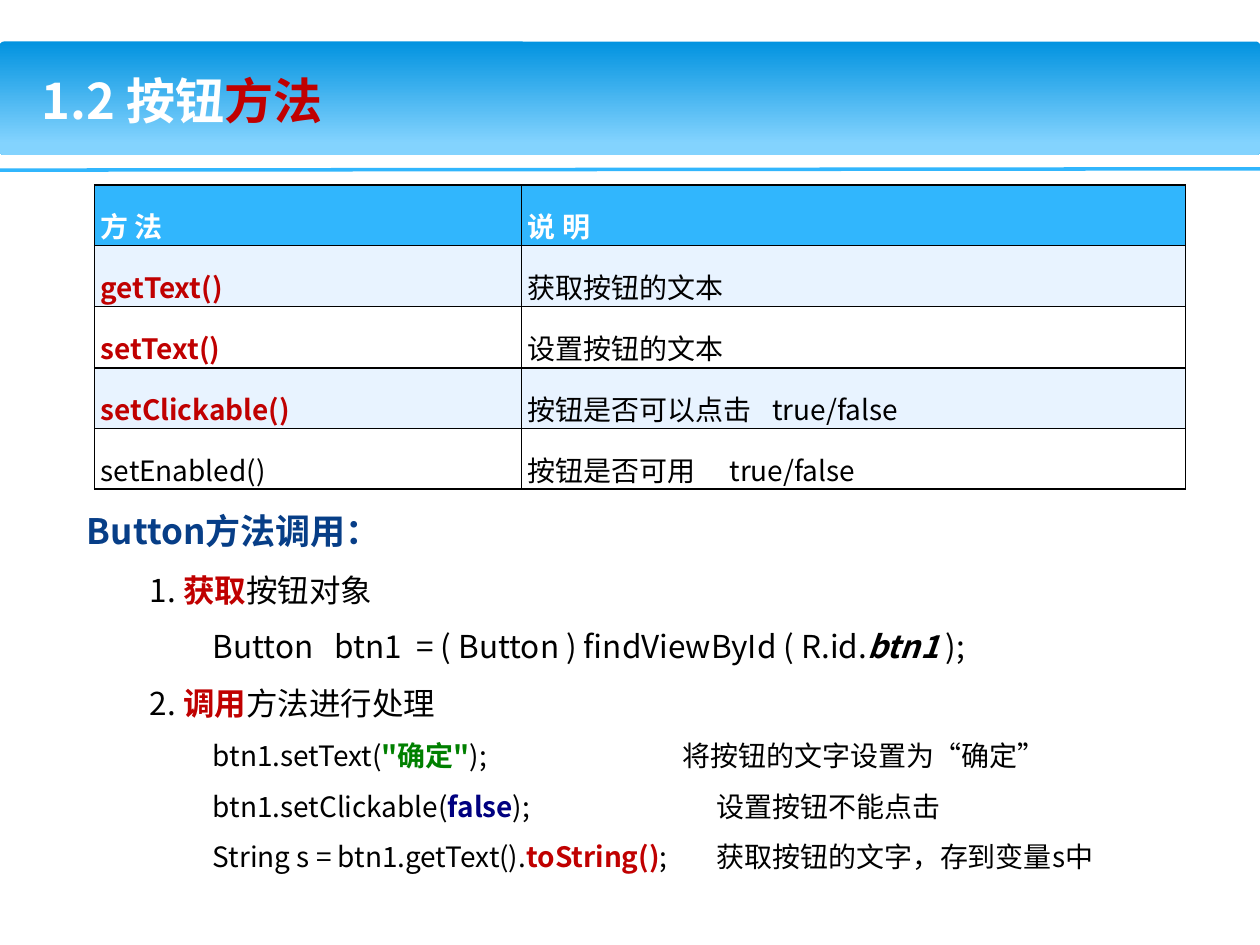
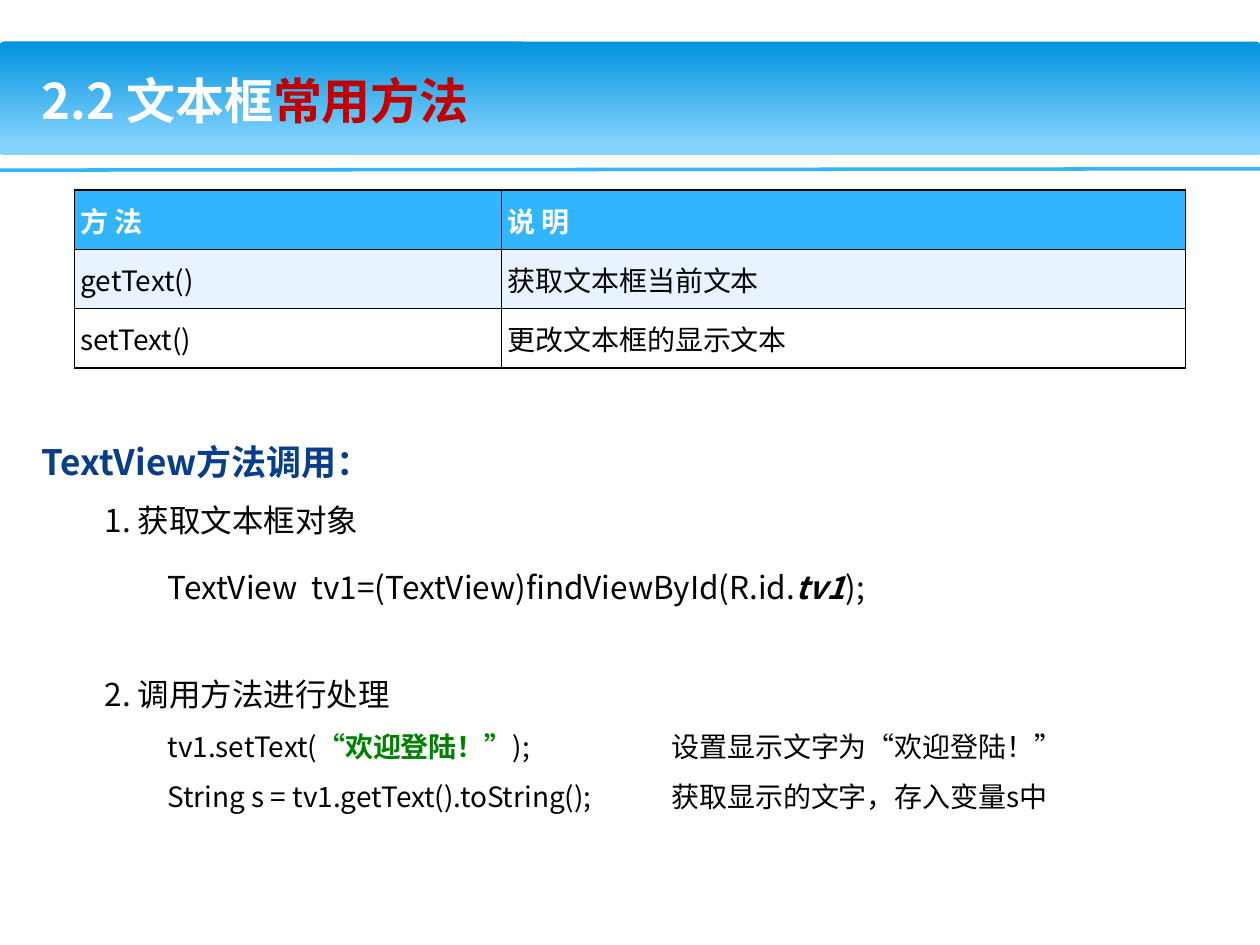
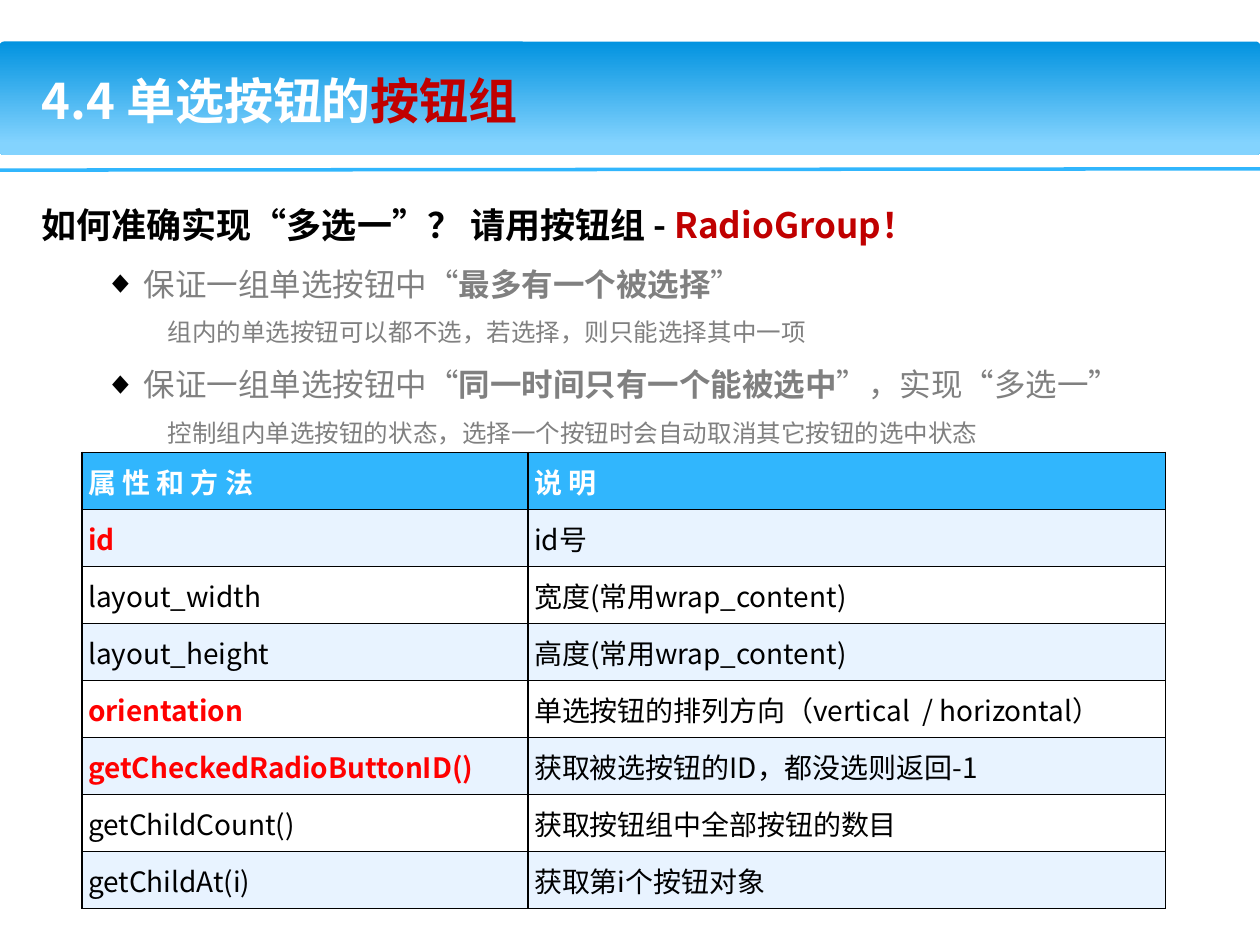
import dataclasses

import lxml.etree
import pptx
import pptx.dml.color
import pptx.enum.dml
import pptx.enum.shapes
import pptx.enum.text
import pptx.oxml.ns
import pptx.util

Inches = pptx.util.Inches
Pt = pptx.util.Pt
qn = pptx.oxml.ns.qn


@dataclasses.dataclass(frozen=True)
class Theme:
    font: str = "Noto Sans CJK SC"
    title_size: int = 28
    heading_size: int = 20
    step_size: int = 18
    code_size: int = 16
    note_size: int = 14
    body_spacing: float = 1.5
    white: str = "FFFFFF"
    black: str = "000000"
    grey: str = "808080"
    navy: str = "073E87"
    red: str = "C00000"
    alert: str = "FF0000"
    string: str = "008000"
    keyword: str = "000080"
    accent: str = "31B6FD"
    stripe: str = "E8F3FF"
    band_top: str = "0293E0"
    band_bottom: str = "83D3FE"


THEME = Theme()

# Named looks for emphasised spans: colour, bold, italic
LOOKS = {
    "strong": (None, True, None),
    "identifier": (None, True, True),
    "red": (THEME.red, True, None),
    "alert": (THEME.alert, True, None),
    "string": (THEME.string, True, None),
    "keyword": (THEME.keyword, True, None),
}


@dataclasses.dataclass(frozen=True)
class Box:
    left: float
    top: float
    width: float
    height: float

    def lengths(self):
        return [Inches(side) for side in dataclasses.astuple(self)]


@dataclasses.dataclass(frozen=True)
class Line:
    """One paragraph; spans are plain strings or (text, look) pairs."""
    spans: tuple
    size: int = THEME.code_size
    colour: str = THEME.black
    bold: bool = False
    level: int = 0
    margin: float = 0
    indent: float = 0
    before: float = 0
    spacing: float = 1
    bullet: str = ""
    tab_step: float = 1


def rgb(value):
    return pptx.dml.color.RGBColor.from_string(value)


def add_xml(parent, tag, **attributes):
    return lxml.etree.SubElement(parent, qn(tag), attributes)


# Text

def write_line(para, line):
    para.level = line.level
    props = para._p.get_or_add_pPr()
    props.set("marL", str(Inches(line.margin)))
    props.set("indent", str(Inches(line.indent)))
    props.set("defTabSz", str(Inches(line.tab_step)))
    if line.bullet:
        add_xml(add_xml(props, "a:buClr"), "a:srgbClr", val=THEME.black)
        add_xml(props, "a:buChar", char=line.bullet)
    else:
        add_xml(props, "a:buNone")

    para.alignment = pptx.enum.text.PP_ALIGN.LEFT
    para.line_spacing = line.spacing
    para.space_before = Pt(line.before)
    para.font.name = THEME.font
    para.font.size = Pt(line.size)
    para.font.bold = line.bold
    para.font.color.rgb = rgb(line.colour)
    add_xml(props.find(qn("a:defRPr")), "a:ea", typeface=THEME.font)

    for item in line.spans:
        text, look = (item, None) if isinstance(item, str) else item
        span = para.add_run()
        span.text = text
        if look:
            colour, span.font.bold, span.font.italic = LOOKS[look]
            if colour:
                span.font.color.rgb = rgb(colour)


def write_lines(frame, lines):
    frame.word_wrap = True
    for number, line in enumerate(lines):
        para = frame.add_paragraph() if number else frame.paragraphs[0]
        write_line(para, line)


def fill_placeholder(holder, box, lines, anchor):
    holder.left, holder.top, holder.width, holder.height = box.lengths()
    frame = holder.text_frame
    frame.auto_size = pptx.enum.text.MSO_AUTO_SIZE.NONE
    frame.vertical_anchor = anchor
    write_lines(frame, lines)


# Line types of the body text

def heading(*spans, colour=THEME.navy):
    return Line(spans, THEME.heading_size, colour, True,
                spacing=THEME.body_spacing)


def step(*spans, before=0):
    return Line(spans, THEME.step_size, level=1, margin=0.5, before=before,
                spacing=THEME.body_spacing)


def statement(*spans, before=0):
    return Line(spans, THEME.step_size, level=2, margin=1, before=before,
                spacing=THEME.body_spacing)


def call(*spans, remark_at=5):
    return Line(spans, level=3, indent=1, tab_step=remark_at,
                spacing=THEME.body_spacing)


def point(*spans):
    return Line(spans, THEME.step_size, THEME.grey, level=1, margin=0.81,
                indent=-0.31, bullet="◆", spacing=THEME.body_spacing)


def note(text):
    return Line((text,), THEME.note_size, THEME.grey, level=2, margin=1,
                spacing=THEME.body_spacing)


# Regions shared by all slides

def add_band(page, box):
    band = page.shapes.add_shape(
        pptx.enum.shapes.MSO_SHAPE.ROUNDED_RECTANGLE, *box.lengths())
    band.adjustments[0] = 0.034
    band.shadow.inherit = False
    band.line.fill.background()
    band.fill.gradient()
    band.fill.gradient_angle = 270
    stops = zip(band.fill.gradient_stops, (0, 0.9),
                (THEME.band_top, THEME.band_bottom))
    for stop, position, colour in stops:
        stop.position = position
        stop.color.rgb = rgb(colour)

    bottom = box.top + box.height
    rule = page.shapes.add_connector(
        pptx.enum.shapes.MSO_CONNECTOR.STRAIGHT,
        Inches(box.left), Inches(bottom + 0.12),
        Inches(box.left + box.width), Inches(bottom + 0.11))
    rule.line.color.rgb = rgb(THEME.accent)
    rule.line.width = Pt(2)
    add_xml(rule.element.spPr, "a:effectLst")

    # The band lies behind the title
    for part in (band, rule):
        page.shapes.title.element.addprevious(part.element)


def add_page(deck, title, body_box, body):
    page = deck.slides.add_slide(deck.slide_layouts[1])
    band_box = Box(0, 0.33, 10, 0.9)
    add_band(page, band_box)
    title_box = Box(band_box.left + 0.23, band_box.top + 0.03, 8.8, 0.87)
    fill_placeholder(
        page.shapes.title, title_box,
        [Line(title, THEME.title_size, THEME.white, True)],
        pptx.enum.text.MSO_ANCHOR.MIDDLE)
    fill_placeholder(page.placeholders[1], body_box, body,
                     pptx.enum.text.MSO_ANCHOR.TOP)
    return page


def format_cell(cell, line, fill):
    cell.margin_left = cell.margin_right = Inches(0.05)
    cell.margin_top = cell.margin_bottom = 0
    cell.vertical_anchor = pptx.enum.text.MSO_ANCHOR.MIDDLE
    props = cell._tc.get_or_add_tcPr()
    for side in ("L", "R", "T", "B"):
        border = add_xml(props, f"a:ln{side}", w=str(Pt(1)))
        add_xml(add_xml(border, "a:solidFill"), "a:srgbClr", val=THEME.black)
    cell.fill.solid()
    cell.fill.fore_color.rgb = rgb(fill)
    write_line(cell.text_frame.paragraphs[0], line)


def add_method_table(page, box, first_width, heights, rows, spacing=1):
    """Two columns; a cell is a span, or a Line when it needs a tab."""
    table = page.shapes.add_table(len(rows), 2, *box.lengths()).table
    table.first_row = table.horz_banding = False
    table.columns[0].width = Inches(first_width)
    table.columns[1].width = Inches(box.width - first_width)
    for number, (row, height) in enumerate(zip(rows, heights)):
        table.rows[number].height = Inches(height)
        header = number == 0
        fill = THEME.stripe if number % 2 else THEME.white
        for column, item in enumerate(row):
            line = item if isinstance(item, Line) else Line((item,))
            line = dataclasses.replace(
                line, spacing=spacing, bold=header,
                colour=THEME.white if header else THEME.black)
            format_cell(table.cell(number, column), line,
                        THEME.accent if header else fill)


# Slides

def build_button_page(deck):
    body = [
        heading("Button方法调用："),
        step("1. ", ("获取", "red"), "按钮对象"),
        statement("Button   btn1  = ( Button ) findViewById ( R.id.",
                  ("btn1 ", "identifier"), ");"),
        step("2. ", ("调用", "red"), "方法进行处理"),
        call("btn1.setText(", ('"确定"', "string"),
             ");\t将按钮的文字设置为“确定”", remark_at=4.73),
        call("btn1.setClickable(", ("false", "keyword"),
             ");\t设置按钮不能点击"),
        call("String s = btn1.getText().", ("toString()", "red"),
             ";\t获取按钮的文字，存到变量s中"),
    ]
    page = add_page(deck, ("1.2 按钮", ("方法", "red")),
                    Box(0.59, 3.83, 8.82, 3.31), body)
    rows = [
        ("方 法", "说 明"),
        (("getText()", "red"), "获取按钮的文本"),
        (("setText()", "red"), "设置按钮的文本"),
        (("setClickable()", "red"),
         Line(("按钮是否可以点击\ttrue/false",), tab_step=1.94)),
        ("setEnabled()", Line(("按钮是否可用\ttrue/false",), tab_step=1.6)),
    ]
    add_method_table(page, Box(0.75, 1.47, 8.66, 2.3), 3.39,
                     (0.47, 0.43, 0.49, 0.47, 0.44), rows, spacing=1.5)


def build_text_view_page(deck):
    body = [
        heading("TextView方法调用："),
        step("1. 获取文本框对象"),
        statement("TextView  tv1=(TextView)findViewById(R.id.",
                  ("tv1", "identifier"), ");", before=5.4),
        step("2. 调用方法进行处理", before=29),
        call("tv1.setText(", ("“欢迎登陆！”", "string"),
             ");\t设置显示文字为“欢迎登陆！”"),
        call("String s = tv1.getText().toString();"
             "\t获取显示的文字，存入变量s中"),
    ]
    page = add_page(deck, ("2.2 文本框", ("常用方法", "red")),
                    Box(0.23, 3.28, 9.49, 3.46), body)
    rows = [
        ("方 法", "说 明"),
        ("getText()", "获取文本框当前文本"),
        ("setText()", "更改文本框的显示文本"),
    ]
    add_method_table(page, Box(0.59, 1.51, 8.82, 1.42), 3.39,
                     [0.47] * len(rows), rows)


def build_radio_group_page(deck):
    body = [
        heading("如何准确实现“多选一”？ 请用按钮组 - ",
                ("RadioGroup！", "red"), colour=THEME.black),
        point("保证一组单选按钮中“", ("最多有一个被选择", "strong"), "”"),
        note("组内的单选按钮可以都不选，若选择，则只能选择其中一项"),
        point("保证一组单选按钮中“", ("同一时间只有一个能被选中", "strong"),
              "”，实现“多选一”"),
        note("控制组内单选按钮的状态，选择一个按钮时会自动取消其它按钮的选中状态"),
    ]
    page = add_page(deck, ("4.4 单选按钮的", ("按钮组", "red")),
                    Box(0.23, 1.4, 9.49, 2.22), body)
    rows = [
        ("属 性 和 方 法", "说 明"),
        (("id", "alert"), "id号"),
        ("layout_width", "宽度(常用wrap_content)"),
        ("layout_height", "高度(常用wrap_content)"),
        (("orientation", "alert"),
         "单选按钮的排列方向（vertical  / horizontal）"),
        (("getCheckedRadioButtonID()", "alert"),
         "获取被选按钮的ID，都没选则返回-1"),
        ("getChildCount()", "获取按钮组中全部按钮的数目"),
        ("getChildAt(i)", "获取第i个按钮对象"),
    ]
    box = Box(0.65, 3.59, 8.6, 3.62)
    add_method_table(page, box, 3.54,
                     [box.height / len(rows)] * len(rows), rows)


def main():
    deck = pptx.Presentation()
    deck.slide_width, deck.slide_height = Inches(10), Inches(7.5)
    build_button_page(deck)
    build_text_view_page(deck)
    build_radio_group_page(deck)
    deck.save("out.pptx")


if __name__ == "__main__":
    main()
